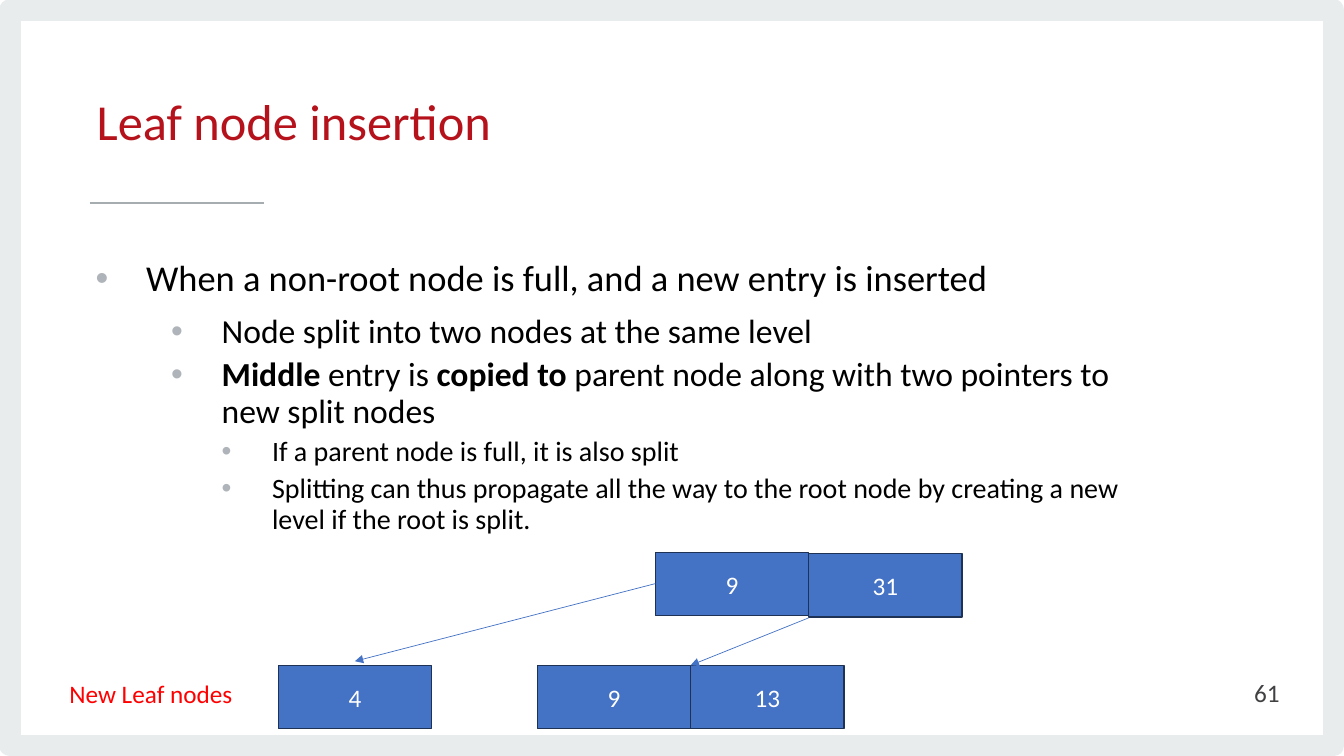
"""Build a slide on splitting a full leaf node in a B+ tree."""
from lxml.etree import SubElement
from pptx import Presentation
from pptx.dml.color import RGBColor
from pptx.enum.shapes import MSO_CONNECTOR as CONNECTOR, MSO_SHAPE as SHAPE
from pptx.enum.text import MSO_ANCHOR as ANCHOR, PP_ALIGN as ALIGN
from pptx.oxml.ns import qn
from pptx.util import Inches, Pt


def paint(color_format, hex_color):
    color_format.rgb = RGBColor.from_string(hex_color)


def style(frame, size, hex_color, align=ALIGN.LEFT, anchor=ANCHOR.MIDDLE):
    frame.word_wrap = True
    frame.vertical_anchor = anchor
    for paragraph in frame.paragraphs:
        paragraph.alignment = align
        for run in paragraph.runs:
            run.font.name = "Calibri"
            run.font.size = Pt(size)
            paint(run.font.color, hex_color)


deck = Presentation()
deck.slide_width, deck.slide_height = Inches(13.33), Inches(7.5)
slide = deck.slides.add_slide(deck.slide_layouts[6])
shapes = slide.shapes

margin = Inches(0.1)
right, bottom = deck.slide_width - margin, deck.slide_height - margin
outline = shapes.build_freeform(margin, bottom)
outline.add_line_segments([(right, bottom), (right, margin), (margin, margin)])
border = outline.convert_to_shape()
border.shadow.inherit = False
border.fill.background()
border.line.width = Pt(15.11)
paint(border.line.color, "E9ECED")
SubElement(border.line._get_or_add_ln(), qn("a:round"))

points = [
    (0, 26, [("When a non-root node is full, and a new entry is inserted", False)]),
    (1, 24, [("Node split into two nodes at the same level", False)]),
    (1, 24, [("Middle", True), (" entry is ", False), ("copied to ", True),
             ("parent node along with two pointers to new split nodes", False)]),
    (2, 20, [("If a parent node is full, it is also split", False)]),
    (2, 20, [("Splitting can thus propagate all the way to the root node by "
              "creating a new level if the root is split.", False)]),
]
indents = [0.5, 1.25, 1.75]
body = shapes.add_textbox(Inches(0.85), Inches(2.53), Inches(10.65), Inches(4.22)).text_frame
body.word_wrap = True
for index, (level, size, parts) in enumerate(points):
    point = body.add_paragraph() if index else body.paragraphs[0]
    point.level = level
    point.line_spacing = 0.9
    point.space_before = Pt(5 if index else 0)
    point.space_after = Pt(0 if index else 6)
    properties = point._p.get_or_add_pPr()
    properties.set("marL", str(Inches(indents[level])))
    properties.set("indent", str(-Inches(0.5)))
    bullet_color = SubElement(properties, qn("a:buClr"))
    SubElement(bullet_color, qn("a:srgbClr"), val="AEB4B9")
    SubElement(properties, qn("a:buFont"), typeface="Arial")
    SubElement(properties, qn("a:buChar"), char="•")
    for wording, bold in parts:
        run = point.add_run()
        run.text = wording
        run.font.name = "Calibri"
        run.font.size = Pt(size)
        run.font.bold = bold
        paint(run.font.color, "000000")

labels = [
    ("Leaf node insertion", 0.86, 0.52, 8.79, 1.34, 36, "B5121B", ALIGN.LEFT),
    ("61", 9.79, 6.67, 3, 0.4, 18, "414042", ALIGN.RIGHT),
    ("New Leaf nodes", 0.59, 6.68, 6.67, 0.4, 18, "FF0000", ALIGN.LEFT),
]
for wording, left, top, width, height, size, color, align in labels:
    label = shapes.add_textbox(Inches(left), Inches(top), Inches(width), Inches(height)).text_frame
    label.text = wording
    style(label, size, color, align)

key_width, key_height = 1.52, 0.63
parent_left, parent_top = 6.5, 5.48
leaf_top, first_leaf, second_leaf = 6.6, 2.76, 5.33
keys = [
    ("31", parent_left + key_width, parent_top + 0.01),
    ("4", first_leaf, leaf_top),
    ("9", second_leaf, leaf_top),
    ("9", parent_left, parent_top),
    ("13", second_leaf + key_width, leaf_top),
]
for value, left, top in keys:
    key = shapes.add_shape(SHAPE.RECTANGLE, Inches(left), Inches(top),
                           Inches(key_width), Inches(key_height))
    key.shadow.inherit = False
    key.fill.solid()
    paint(key.fill.fore_color, "4472C4")
    key.line.width = Pt(1)
    paint(key.line.color, "1E3256")
    key.text_frame.text = value
    style(key.text_frame, 18, "FFFFFF", ALIGN.CENTER)

lines = [
    (0.89, 2.01, 2.62, 2.01, "A6ADB1", 1.33, False),
    (parent_left, 5.79, first_leaf + key_width / 2, 6.56, "4472C4", 0.5, True),
    (parent_left + key_width, 6.13, second_leaf + key_width, leaf_top, "4472C4", 0.5, True),
]
for x1, y1, x2, y2, color, weight, is_pointer in lines:
    link = shapes.add_connector(CONNECTOR.STRAIGHT, Inches(x1), Inches(y1), Inches(x2), Inches(y2))
    link.line.width = Pt(weight)
    paint(link.line.color, color)
    if is_pointer:
        SubElement(link.line._get_or_add_ln(), qn("a:tailEnd"), type="triangle")
    SubElement(link._element.spPr, qn("a:effectLst"))

deck.save("out.pptx")
